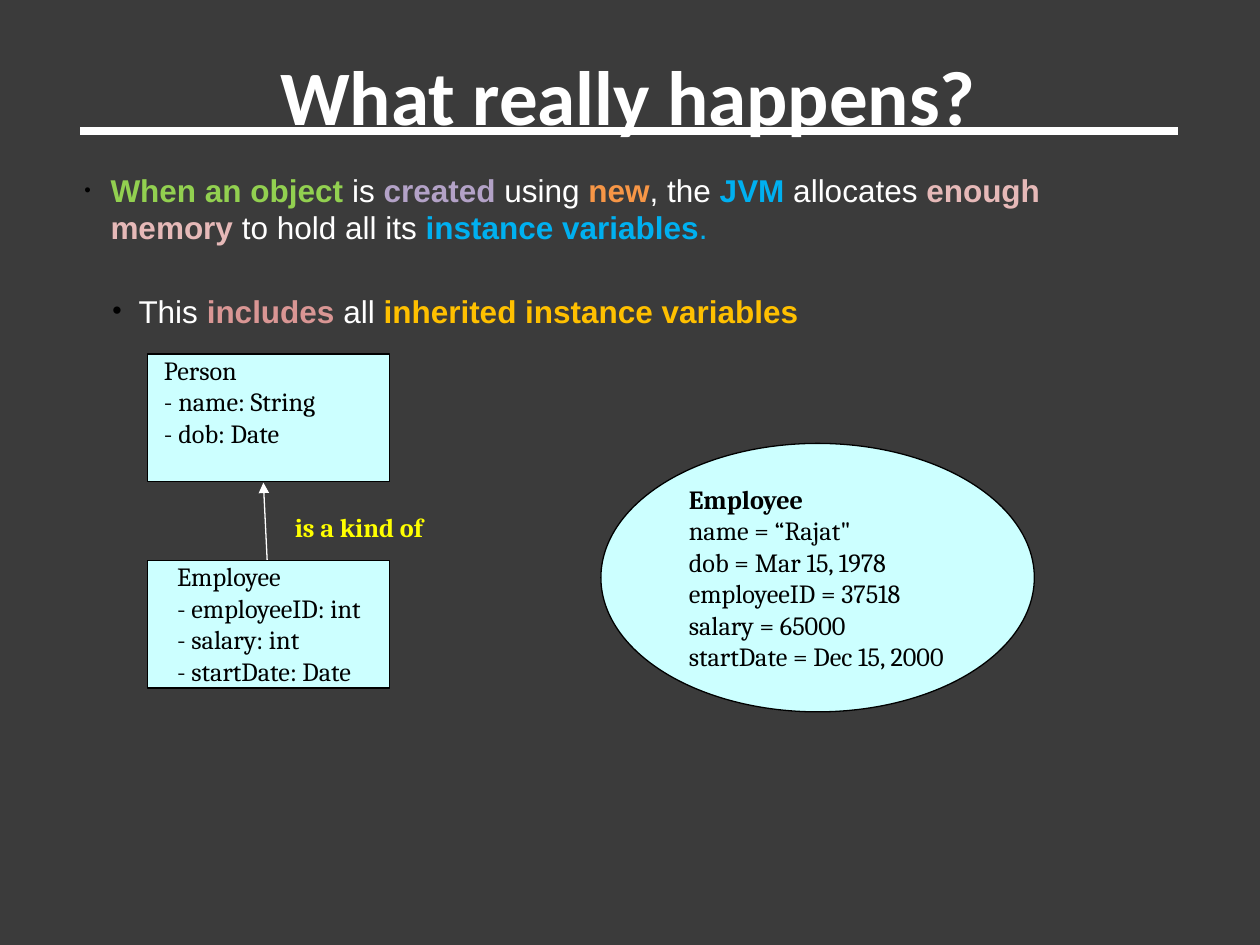
from lxml import etree
from pptx import Presentation
from pptx import util as u
from pptx.dml.color import RGBColor
from pptx.enum import shapes, text
from pptx.oxml import ns

WHITE = RGBColor(255, 255, 255)
BLACK = RGBColor(0, 0, 0)
BACK = RGBColor(0x3B, 0x3B, 0x3B)
CYAN = RGBColor(0xCC, 0xFF, 0xFF)
YELLOW = RGBColor(0xFF, 0xFF, 0)
GREEN = RGBColor(0x92, 0xD0, 0x50)
PURPLE = RGBColor(0xB3, 0xA2, 0xC7)
ORANGE = RGBColor(0xF7, 0x96, 0x46)
BLUE = RGBColor(0, 0xB0, 0xF0)
PINK = RGBColor(0xE6, 0xB9, 0xB8)
ROSE = RGBColor(0xD9, 0x96, 0x94)
GOLD = RGBColor(0xFF, 0xC0, 0)

TITLE = {"name": "Calibri", "size": u.Pt(44), "bold": True}
BODY = {"name": "Arial", "size": u.Pt(18)}
NOTE = {"name": "Cambria", "size": u.Pt(15)}

POINTS = [
    (59, 15, 2.5, [
        ("When an object ", GREEN, True), ("is ", WHITE, False),
        ("created", PURPLE, True), (" using ", WHITE, False),
        ("new", ORANGE, True), (", the ", WHITE, False),
        ("JVM", BLUE, True), (" allocates ", WHITE, False),
        ("enough memory ", PINK, True), ("to hold all its ", WHITE, False),
        ("instance variables", BLUE, True), (".", BLUE, False)]),
    (85, 31, 26, [
        ("This ", WHITE, False), ("includes", ROSE, True),
        (" all ", WHITE, False),
        ("inherited instance variables", GOLD, True)]),
]
PERSON = ["Person", "- name: String", "- dob: Date"]
WORKER = ["Employee", "- employeeID: int", "- salary: int",
          "- startDate: Date"]
OBJECT = ["Employee", "name = “Rajat\"", "dob = Mar 15, 1978",
          "employeeID = 37518", "salary = 65000",
          "startDate = Dec 15, 2000"]


def style(item, form):
    for key, val in form.items():
        setattr(item, key, val)


def add(root, tag, **vals):
    return etree.SubElement(root, ns.qn(tag), vals)


def write(par, words, form, color, bold=False):
    run = par.add_run()
    run.text = words
    style(run.font, {**form, "bold": bold})
    run.font.color.rgb = color


def frame(shape, left=0, wrap=True, anchor=text.MSO_ANCHOR.TOP):
    area = shape.text_frame
    style(area, {"margin_left": u.Pt(left), "margin_right": 0,
                 "margin_top": 0, "margin_bottom": 0,
                 "word_wrap": wrap, "vertical_anchor": anchor})
    return area


def box(slide, spot, **opts):
    return frame(slide.shapes.add_textbox(*map(u.Pt, spot)), **opts)


def rule(slide, ends, width, arrow=False):
    line = slide.shapes.add_connector(
        shapes.MSO_CONNECTOR.STRAIGHT, *map(u.Pt, ends))
    line.line.color.rgb = WHITE
    line.line.width = u.Pt(width)
    if arrow:
        add(line.line._get_or_add_ln(), "a:tailEnd", type="triangle")
    add(line._element.spPr, "a:effectLst")


def panel(slide, kind, spot, lines, left, head=False,
          anchor=text.MSO_ANCHOR.TOP):
    shape = slide.shapes.add_shape(kind, *map(u.Pt, spot))
    shape.shadow.inherit = False
    shape.fill.solid()
    shape.fill.fore_color.rgb = CYAN
    shape.line.color.rgb = BLACK
    shape.line.width = u.Pt(0.75)
    area = frame(shape, left, False, anchor)
    for i, words in enumerate(lines):
        par = area.add_paragraph() if i else area.paragraphs[0]
        par.alignment = text.PP_ALIGN.LEFT
        write(par, words, NOTE, BLACK, head and i == 0)


def points(slide):
    area = box(slide, (48.2, 95, 612, 104.4))
    for i, (size, left, gap, runs) in enumerate(POINTS):
        par = area.add_paragraph() if i else area.paragraphs[0]
        props = par._p.get_or_add_pPr()
        props.set("marL", str(u.Pt(left)))
        props.set("indent", str(-u.Pt(15)))
        add(add(props, "a:buClr"), "a:srgbClr", val=str(BLACK))
        add(props, "a:buSzPct", val=str(size * 1000))
        add(props, "a:buFont", typeface="Arial")
        add(props, "a:buChar", char="•")
        if i:
            par.space_before = u.Pt(gap)
        else:
            area.margin_top = u.Pt(gap)
        for words, color, bold in runs:
            write(par, words, BODY, color, bold)


def main():
    deck = Presentation()
    style(deck, {"slide_width": u.Pt(720), "slide_height": u.Pt(540)})
    slide = deck.slides.add_slide(deck.slide_layouts[6])
    slide.background.fill.solid()
    slide.background.fill.fore_color.rgb = BACK

    rule(slide, (46, 74.9, 673.2, 74.9), 4.31)
    par = box(slide, (100.3, 28, 517.7, 53.3)).paragraphs[0]
    par.alignment = text.PP_ALIGN.CENTER
    write(par, "What really happens?", TITLE, WHITE, True)
    points(slide)

    kind = shapes.MSO_SHAPE
    panel(slide, kind.RECTANGLE, (84.2, 202.4, 138.4, 72.8), PERSON, 9.5)
    rule(slide, (154, 347, 150.5, 275.8), 0.75, True)
    panel(slide, kind.RECTANGLE, (84.2, 320.4, 138.4, 72.8), WORKER, 17)
    panel(slide, kind.OVAL, (343.4, 253.4, 247.7, 153.4), OBJECT, 14,
          True, text.MSO_ANCHOR.MIDDLE)
    label = box(slide, (168.5, 292.3, 79.2, 18), wrap=False)
    write(label.paragraphs[0], "is a kind of", NOTE, YELLOW, True)
    deck.save("out.pptx")


if __name__ == "__main__":
    main()
